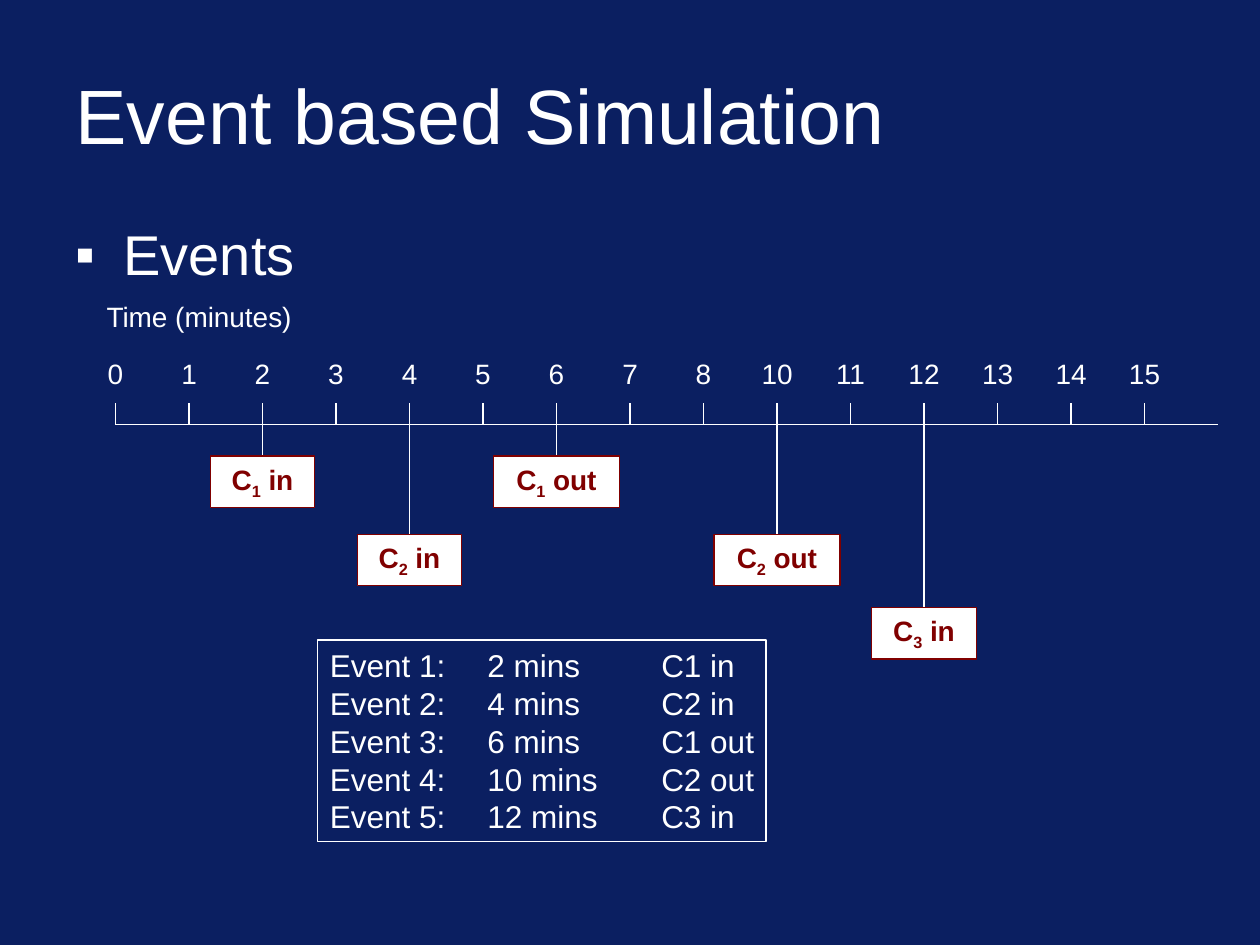
"""Build the event based simulation slide with its timeline and event list."""
from lxml.etree import SubElement
from pptx import Presentation
from pptx.dml.color import RGBColor
from pptx.enum.shapes import MSO_CONNECTOR as LINE, MSO_SHAPE as SHAPE
from pptx.enum.text import MSO_ANCHOR as ANCHOR, MSO_AUTO_SIZE as FIT, PP_ALIGN as ALIGN
from pptx.oxml.ns import qn
from pptx.util import Inches, Pt

NAVY = RGBColor(0x0B, 0x1F, 0x61)
WHITE = RGBColor(0xFF, 0xFF, 0xFF)
MAROON = RGBColor(0x80, 0x00, 0x00)

deck = Presentation()
deck.slide_width, deck.slide_height = Inches(10), Inches(7.5)
slide = deck.slides.add_slide(deck.slide_layouts[1])
slide.background.fill.solid()
slide.background.fill.fore_color.rgb = NAVY
shapes = slide.shapes


def write(paragraph, text, size, color=WHITE, bold=False):
    run = paragraph.add_run()
    run.text = text
    for name, value in {"name": "Arial", "size": Pt(size), "bold": bold}.items():
        setattr(run.font, name, value)
    run.font.color.rgb = color
    return run


def draw_line(x1, y1, x2, y2):
    line = shapes.add_connector(LINE.STRAIGHT, *map(Inches, (x1, y1, x2, y2)))
    line.line.color.rgb = WHITE
    line.line.width = Pt(0.75)
    SubElement(line._element.spPr, qn("a:effectLst"))


title, events = slide.placeholders
for holder, top, height, anchor, text, size in (
    (title, 0.4, 1, ANCHOR.MIDDLE, "Event based Simulation", 44),
    (events, 1.75, 0.58, ANCHOR.TOP, "Events", 32),
):
    place = {"left": 0.5, "top": top, "width": 9, "height": height}
    for name, value in place.items():
        setattr(holder, name, Inches(value))
    holder.text_frame.auto_size = FIT.NONE
    holder.text_frame.vertical_anchor = anchor
    heading = holder.text_frame.paragraphs[0]
    heading.alignment = ALIGN.LEFT
    write(heading, text, size)

heading.line_spacing = 0.9
heading.space_before = Pt(8)
bullet = heading._p.get_or_add_pPr()
bullet.set("marL", str(Inches(0.38)))
bullet.set("indent", str(-Inches(0.38)))
SubElement(SubElement(bullet, qn("a:buClr")), qn("a:srgbClr"), val=str(WHITE))
SubElement(bullet, qn("a:buFont"), typeface="Arial")
SubElement(bullet, qn("a:buChar"), char="▪")

COLUMN = 7 / 12
START = 11 / 12
AXIS = 3.37
minutes = [minute for minute in range(16) if minute != 9]
tick_x = {minute: START + step * COLUMN for step, minute in enumerate(minutes)}

captions = [("Time (minutes)", 1.58, 2.33, 1.68)]
for minute, x in tick_x.items():
    draw_line(x, AXIS, x + COLUMN, AXIS)
    draw_line(x, AXIS - 0.17, x, AXIS)
    captions.append((str(minute), x, 2.78, 0.32 if minute < 10 else 0.49))

for text, center, top, width in captions:
    caption = shapes.add_textbox(*map(Inches, (center - width / 2, top, width, 0.37)))
    caption.text_frame.word_wrap = text.isdigit()
    caption.text_frame.paragraphs[0].alignment = ALIGN.CENTER
    write(caption.text_frame.paragraphs[0], text, 16)

ROW_TOPS = (3.62, 4.24, 4.82)
schedule = ((2, 1, "in"), (4, 2, "in"), (6, 1, "out"), (10, 2, "out"), (12, 3, "in"))
for minute, customer, move in schedule:
    x, top = tick_x[minute], ROW_TOPS[customer - 1]
    width = 0.83 if move == "in" else 1
    draw_line(x, AXIS, x, top)
    event = shapes.add_shape(SHAPE.RECTANGLE, *map(Inches, (x - width / 2, top, width, 0.41)))
    event.shadow.inherit = False
    event.fill.solid()
    event.fill.fore_color.rgb = WHITE
    event.line.color.rgb = MAROON
    event.line.width = Pt(0.75)
    event.text_frame.vertical_anchor = ANCHOR.TOP
    label = event.text_frame.paragraphs[0]
    label.alignment = ALIGN.CENTER
    for text in ("C", str(customer), f" {move}"):
        part = write(label, text, 16, MAROON, True)
        if text.isdigit():
            part.font._element.set("baseline", "-25000")

listing = shapes.add_shape(SHAPE.RECTANGLE, *map(Inches, (2.52, 5.08, 3.56, 1.6)))
listing.shadow.inherit = False
listing.fill.background()
listing.line.color.rgb = WHITE
listing.line.width = Pt(0.75)
listing.text_frame.word_wrap = False
listing.text_frame.vertical_anchor = ANCHOR.TOP
for number, (minute, customer, move) in enumerate(schedule, 1):
    frame = listing.text_frame
    entry = frame.paragraphs[0] if number == 1 else frame.add_paragraph()
    entry.alignment = ALIGN.LEFT
    stops = SubElement(entry._p.get_or_add_pPr(), qn("a:tabLst"))
    for stop in (1.25, 2.63):
        SubElement(stops, qn("a:tab"), pos=str(Inches(stop)), algn="l")
    write(entry, f"Event {number}:\t{minute} mins\tC{customer} {move}", 18)

deck.save("out.pptx")
